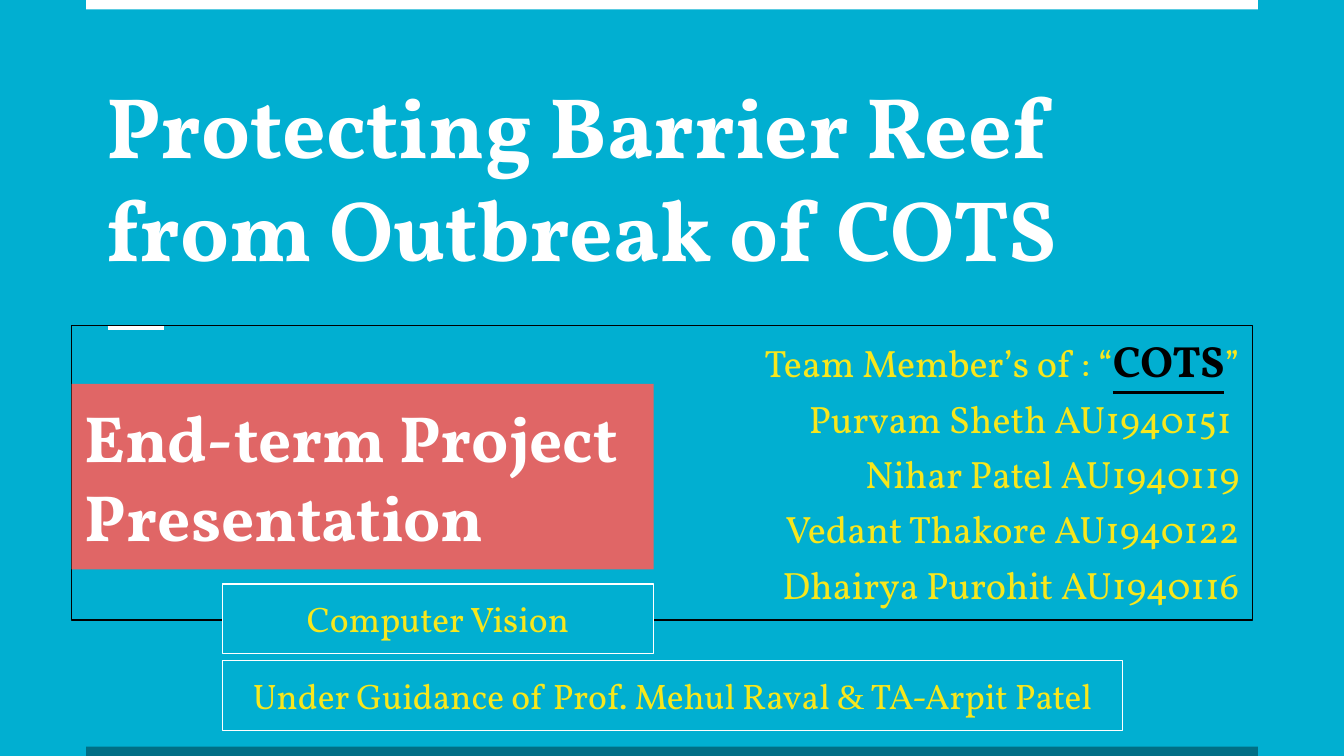
from dataclasses import dataclass
from typing import Optional

from lxml import etree
from pptx import Presentation
from pptx.dml.color import RGBColor
from pptx.enum.shapes import MSO_CONNECTOR, MSO_SHAPE
from pptx.enum.text import MSO_ANCHOR, MSO_AUTO_SIZE, PP_ALIGN
from pptx.oxml.ns import qn
from pptx.util import Inches, Pt

RECTANGLE = MSO_SHAPE.RECTANGLE
STRAIGHT = MSO_CONNECTOR.STRAIGHT
LEFT, CENTER, RIGHT = PP_ALIGN.LEFT, PP_ALIGN.CENTER, PP_ALIGN.RIGHT
TOP, BOTTOM = MSO_ANCHOR.TOP, MSO_ANCHOR.BOTTOM
FIXED, GROW = MSO_AUTO_SIZE.NONE, MSO_AUTO_SIZE.SHAPE_TO_FIT_TEXT

COLORS = {
    "sea": "01AFD1",
    "deep": "006F85",
    "white": "FFFFFF",
    "black": "000000",
    "yellow": "F8E71C",
    "coral": "E06666",
}
SERIF = "Vollkorn"
CELL = Inches(0.1)  # the 16:9 slide is a grid of square cells, 100 columns wide
COLUMNS = 100
ROWS = COLUMNS * 9 / 16
BAR_LEFT, BAR_ROWS = 6.4, 0.7


@dataclass
class Box:
    col: float
    row: float
    cols: float
    rows: float

    def emu(self) -> tuple[int, ...]:
        return tuple(round(n * CELL) for n in (self.col, self.row, self.cols, self.rows))


@dataclass
class Words:
    text: str
    size: float
    color: str = "yellow"
    font: str = SERIF
    bold: bool = False
    underline: bool = False


@dataclass
class Panel:
    box: Box
    paragraphs: list[list[Words]]
    fill: Optional[str] = None
    line: Optional[str] = None
    align: PP_ALIGN = CENTER
    anchor: MSO_ANCHOR = TOP
    spacing: float = 1.0
    fit: MSO_AUTO_SIZE = GROW


def rgb(name: str) -> RGBColor:
    return RGBColor.from_string(COLORS[name])


def write(frame, paragraphs: list[list[Words]], align: PP_ALIGN, anchor: MSO_ANCHOR,
          spacing: float, fit: MSO_AUTO_SIZE) -> None:
    frame.word_wrap = True
    frame.auto_size = fit
    frame.vertical_anchor = anchor
    frame.margin_left = frame.margin_right = CELL
    frame.margin_top = frame.margin_bottom = CELL
    for number, pieces in enumerate(paragraphs):
        paragraph = frame.add_paragraph() if number else frame.paragraphs[0]
        paragraph.alignment = align
        paragraph.line_spacing = spacing
        paragraph.space_before = Pt(10)
        for words in pieces:
            run = paragraph.add_run()
            run.text = words.text
            run.font.name = words.font
            run.font.size = Pt(words.size)
            run.font.bold = words.bold
            run.font.underline = words.underline
            run.font.color.rgb = rgb(words.color)


def draw_rectangle(slide, box: Box, fill: Optional[str] = None, line: Optional[str] = None):
    rectangle = slide.shapes.add_shape(RECTANGLE, *box.emu())
    rectangle.shadow.inherit = False
    if fill:
        rectangle.fill.solid()
        rectangle.fill.fore_color.rgb = rgb(fill)
    else:
        rectangle.fill.background()
    if line:
        rectangle.line.color.rgb = rgb(line)
        rectangle.line.width = Pt(0.75)
    else:
        rectangle.line.fill.background()
    return rectangle


def draw_panel(slide, panel: Panel) -> None:
    rectangle = draw_rectangle(slide, panel.box, panel.fill, panel.line)
    write(rectangle.text_frame, panel.paragraphs, panel.align, panel.anchor,
          panel.spacing, panel.fit)


def draw_dash(slide, col: float, row: float, cols: float) -> None:
    left, top, width, _ = Box(col, row, cols, 0).emu()
    dash = slide.shapes.add_connector(STRAIGHT, left, top, left + width, top)
    dash.line.color.rgb = rgb("white")
    dash.line.width = Pt(2.25)
    etree.SubElement(dash.element.spPr, qn("a:effectLst"))


TEAM_SIZE = 20.4
MEMBERS = [
    "Purvam Sheth AU1940151 ",
    "Nihar Patel AU1940119",
    "Vedant Thakore AU1940122",
    "Dhairya Purohit AU1940116",
]
TEAM_HEADING = [
    Words("Team Member’s of : “", TEAM_SIZE),
    Words("COTS", 23.4, "black", bold=True, underline=True),
    Words("”", TEAM_SIZE),
]
GUIDANCE = [
    Words("Under Guidance of Prof. Mehul Raval ", 19),
    Words("&", 19, font="Times New Roman"),
    Words(" TA-Arpit Patel", 19),
]
PANELS = [
    Panel(Box(5.34, 24.23, 87.86, 21.9),
          [TEAM_HEADING] + [[Words(member, TEAM_SIZE)] for member in MEMBERS],
          line="black", align=RIGHT, anchor=BOTTOM, spacing=0.8, fit=FIXED),
    Panel(Box(5.34, 28.57, 43.3, 13.8),
          [[Words("End-term Project Presentation", 35, "white", bold=True)]],
          fill="coral", align=LEFT),
    Panel(Box(16.54, 49.15, 67, 5.2), [GUIDANCE], line="white"),
    Panel(Box(16.54, 43.45, 32.1, 5.2), [[Words("Computer Vision", 19)]],
          fill="sea", line="white"),
]


def main() -> None:
    deck = Presentation()
    deck.slide_width = round(COLUMNS * CELL)
    deck.slide_height = round(ROWS * CELL)
    slide = deck.slides.add_slide(deck.slide_layouts[5])
    slide.background.fill.solid()
    slide.background.fill.fore_color.rgb = rgb("sea")

    title = slide.shapes.title
    title.left, title.top, title.width, title.height = Box(6.9, 1.45, 86.3, 20.3).emu()
    heading = Words("Protecting Barrier Reef from Outbreak of COTS", 46, "white", bold=True)
    write(title.text_frame, [[heading]], LEFT, BOTTOM, 1.0, FIXED)

    for row, color in ((0, "white"), (ROWS - BAR_ROWS, "deep")):
        draw_rectangle(slide, Box(BAR_LEFT, row, COLUMNS - 2 * BAR_LEFT, BAR_ROWS), color)
    draw_dash(slide, 8, 24.43, 4.2)
    for panel in PANELS:
        draw_panel(slide, panel)

    deck.save("out.pptx")


if __name__ == "__main__":
    main()
